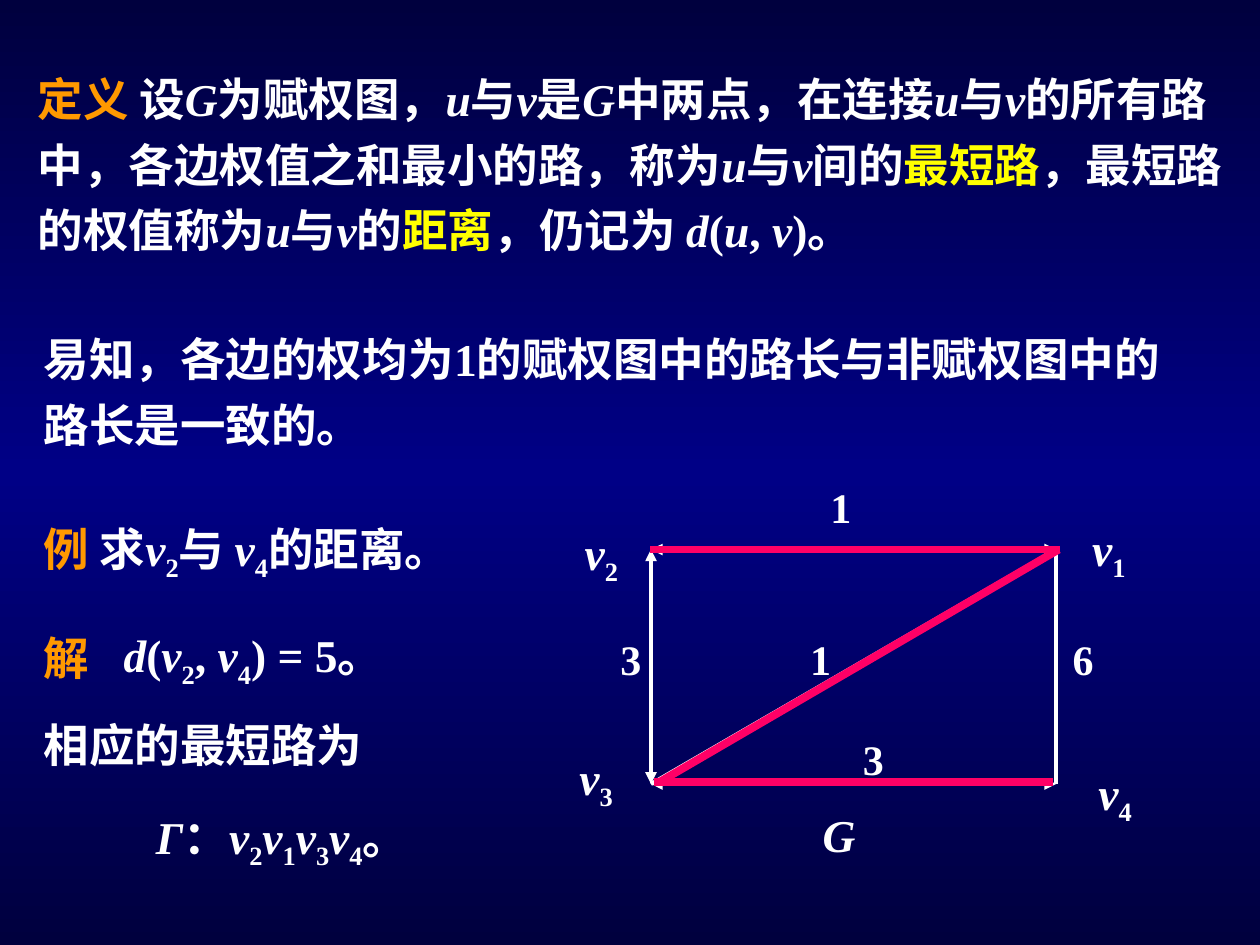
from copy import deepcopy
from dataclasses import dataclass

from lxml import etree
from pptx import Presentation
from pptx.dml.color import RGBColor
from pptx.enum.shapes import MSO_CONNECTOR
from pptx.enum.text import MSO_ANCHOR, MSO_AUTO_SIZE, PP_ALIGN
from pptx.oxml.ns import qn
from pptx.util import Pt

STRAIGHT = MSO_CONNECTOR.STRAIGHT
MIDDLE = MSO_ANCHOR.MIDDLE
CENTER = PP_ALIGN.CENTER
FIT_SHAPE = MSO_AUTO_SIZE.SHAPE_TO_FIT_TEXT


@dataclass(frozen=True)
class Theme:
    white: str = "FFFFFF"
    heading: str = "FF9900"
    term: str = "FFFF00"
    route: str = "FF0066"
    background: tuple = ("00003E", "000086", "00003E")
    latin: str = "Times New Roman"
    chinese: str = "Noto Sans CJK SC"
    body_size: int = 26
    weight_size: int = 24
    edge_width: float = 2.25
    route_width: float = 4.5


THEME = Theme()

# Run styles
PLAIN, HEADING, TERM, ITALIC, SUBSCRIPT = range(5)
RUN_COLORS = {HEADING: THEME.heading, TERM: THEME.term}


def variable(name):
    return (name, ITALIC)


def vertex(number):
    return [variable("v"), (str(number), SUBSCRIPT)]


U, V, G = variable("u"), variable("v"), variable("G")
AND = ("与", PLAIN)

DEFINITION = [
    ("定义", HEADING), (" 设", PLAIN), G, ("为赋权图，", PLAIN), U, AND, V,
    ("是", PLAIN), G, ("中两点，在连接", PLAIN), U, AND, V,
    ("的所有路中，各边权值之和最小的路，称为", PLAIN), U, AND, V,
    ("间的", PLAIN), ("最短路", TERM), ("，最短路的权值称为", PLAIN), U, AND, V,
    ("的", PLAIN), ("距离", TERM), ("，仍记为 ", PLAIN), variable("d"),
    ("(", PLAIN), U, (", ", PLAIN), V, (")。", PLAIN),
]
REMARK = [
    ("易知，各边的权均为", PLAIN), ("1", PLAIN),
    ("的赋权图中的路长与非赋权图中的路长是一致的。", PLAIN),
]
EXAMPLE = [("例", HEADING), (" 求", PLAIN), *vertex(2), ("与 ", PLAIN),
           *vertex(4), ("的距离。", PLAIN)]
DISTANCE = [variable("d"), ("(", PLAIN), *vertex(2), (", ", PLAIN),
            *vertex(4), (") = 5。", PLAIN)]
SHORTEST_PATH = [variable("Γ"), ("：", PLAIN), *vertex(2), *vertex(1),
                 *vertex(3), *vertex(4), ("。", PLAIN)]

# Text boxes: left, top, width, height, runs, line spacing
TEXTS = [
    (14.5, 31, 699, 119.5, DEFINITION, 1.2),
    (18, 179.5, 674.5, 82, REMARK, 1.2),
    (18, 294, 295, 43, EXAMPLE, 1),
    (18, 356.5, 62.5, 39, [("解", HEADING)], 1),
    (63.5, 355, 170, 43, DISTANCE, 1),
    (18, 406, 204.5, 39, [("相应的最短路为", PLAIN)], 1),
    (82, 458.5, 198.5, 43, SHORTEST_PATH, 1),
]

# Graph geometry
LEFT, RIGHT, TOP, BOTTOM = 372, 603.5, 314, 448
V1, V2, V3, V4 = (RIGHT, TOP), (LEFT, TOP), (LEFT, BOTTOM), (RIGHT, BOTTOM)
EDGES = [(V3, V4, True), (V2, V1, True), (V3, V2, True),
         (V1, V3, False), (V1, V4, False)]
ROUTE = [((371.5, 314), (605.5, 314)), ((605, 314), (377.5, 446.5)),
         ((373.5, 447), (602, 447))]
VERTEX_LABELS = {1: (617, 294), 2: (327, 296.5), 3: (324, 425), 4: (620.5, 433.5)}
WEIGHT_CENTERS = [("1", 480.5, 289.5), ("3", 360.5, 376.5), ("1", 469, 376.5),
                  ("6", 619, 376.5), ("3", 499, 433.5)]


def set_background(slide):
    fill = slide.background.fill
    fill.gradient()
    fill.gradient_angle = 270
    stop_list = slide.element.find(".//" + qn("a:gsLst"))
    stop_list.append(deepcopy(stop_list[0]))
    for index, color in enumerate(THEME.background):
        stop = fill.gradient_stops[index]
        stop.position = index / 2
        stop.color.rgb = RGBColor.from_string(color)


def add_run(paragraph, text, style, size):
    run = paragraph.add_run()
    run.text = text
    font = run.font
    font.size = Pt(size)
    font.bold = True
    font.italic = style == ITALIC
    font.color.rgb = RGBColor.from_string(RUN_COLORS.get(style, THEME.white))
    starts_chinese = ord(text.strip()[0]) >= 0x3000
    font.name = THEME.chinese if starts_chinese else THEME.latin
    properties = run._r.get_or_add_rPr()
    etree.SubElement(properties, qn("a:ea"), typeface=THEME.chinese)
    if style == SUBSCRIPT:
        properties.set("baseline", "-25000")


def add_text(slide, left, top, width, height, runs, line_spacing=1,
             size=THEME.body_size):
    shape = slide.shapes.add_textbox(Pt(left), Pt(top), Pt(width), Pt(height))
    frame = shape.text_frame
    frame.word_wrap = True
    frame.auto_size = FIT_SHAPE
    paragraph = frame.paragraphs[0]
    paragraph.line_spacing = line_spacing
    for text, style in runs:
        add_run(paragraph, text, style, size)
    return shape


def add_weight(slide, text, center_x, center_y, side=36):
    shape = add_text(slide, center_x - side / 2, center_y - side / 2, side, side,
                     [(text, PLAIN)], size=THEME.weight_size)
    shape.text_frame.vertical_anchor = MIDDLE
    shape.text_frame.paragraphs[0].alignment = CENTER


def add_line(slide, start, end, color, width, arrows=False):
    points = [Pt(value) for value in (*start, *end)]
    connector = slide.shapes.add_connector(STRAIGHT, *points)
    connector.line.color.rgb = RGBColor.from_string(color)
    connector.line.width = Pt(width)
    if arrows:
        line = connector.line._get_or_add_ln()
        for tag in ("a:headEnd", "a:tailEnd"):
            etree.SubElement(line, qn(tag), type="triangle")
    etree.SubElement(connector._element.spPr, qn("a:effectLst"))


def add_graph(slide):
    for start, end, arrows in EDGES:
        add_line(slide, start, end, THEME.white, THEME.edge_width, arrows)
    for number, (left, top) in VERTEX_LABELS.items():
        add_text(slide, left, top, 51, 43, vertex(number))
    add_text(slide, 463, 457.5, 60, 39, [G])
    for weight in WEIGHT_CENTERS:
        add_weight(slide, *weight)
    # Shortest path
    for start, end in ROUTE:
        add_line(slide, start, end, THEME.route, THEME.route_width)


def main():
    presentation = Presentation()
    presentation.slide_width = Pt(720)
    presentation.slide_height = Pt(540)
    slide = presentation.slides.add_slide(presentation.slide_layouts[6])
    set_background(slide)
    add_graph(slide)
    # Definition, remark and worked example
    for text in TEXTS:
        add_text(slide, *text)
    presentation.save("out.pptx")


if __name__ == "__main__":
    main()
